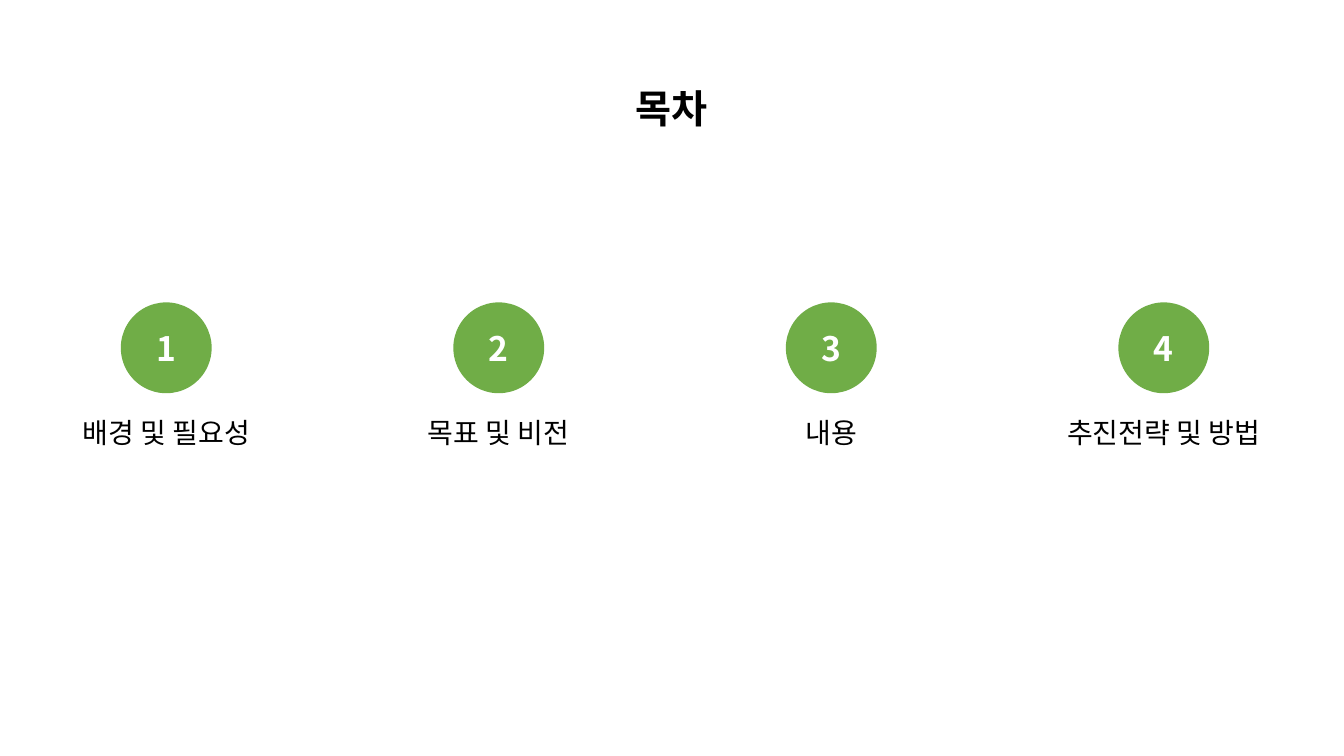
"""Build a contents slide with four numbered sections."""
import pptx
import pptx.dml.color
import pptx.enum.shapes
import pptx.enum.text
import pptx.oxml.ns
import pptx.util
from lxml import etree

Cm = pptx.util.Cm

TITLE = ("목차", 2.51)
ITEMS = [
    ("배경 및 필요성", 5.28),
    ("목표 및 비전", 4.57),
    ("내용", 1.93),
    ("추진전략 및 방법", 5.99),
]
THEME = {
    "font": "Noto Sans CJK KR",
    "ink": "000000",
    "white": "FFFFFF",
    "green": "70AD47",
    "title": 28,
    "number": 24,
    "label": 20,
}
WIDE, HIGH = 33.87, 19.05
FIRST, STEP = 4.19, 8.38
DISC, DISC_TOP = 2.29, 7.62
LABEL_TOP, LABEL_HIGH = 10.34, 1.12
TITLE_TOP, TITLE_HIGH = 2.01, 1.45


def color(name):
    return pptx.dml.color.RGBColor.from_string(THEME[name])


def write(shape, text, role, ink, bold):
    frame = shape.text_frame
    frame.text = text
    line = frame.paragraphs[0]
    line.alignment = pptx.enum.text.PP_ALIGN.CENTER
    run = line.runs[0]
    font = run.font
    font.size = pptx.util.Pt(THEME[role])
    font.bold = bold
    font.color.rgb = color(ink)
    font.name = THEME["font"]
    east = etree.SubElement(font._element, pptx.oxml.ns.qn("a:ea"))
    east.set("typeface", THEME["font"])


def add_text(shapes, text, mid, top, wide, high, role, bold=False):
    box = shapes.add_textbox(Cm(mid - wide / 2), Cm(top), Cm(wide), Cm(high))
    write(box, text, role, "ink", bold)
    box.text_frame.word_wrap = False
    box.text_frame.auto_size = pptx.enum.text.MSO_AUTO_SIZE.SHAPE_TO_FIT_TEXT


def add_disc(shapes, text, mid):
    disc = shapes.add_shape(
        pptx.enum.shapes.MSO_SHAPE.OVAL,
        Cm(mid - DISC / 2), Cm(DISC_TOP), Cm(DISC), Cm(DISC),
    )
    disc.shadow.inherit = False
    disc.fill.solid()
    disc.fill.fore_color.rgb = color("green")
    disc.line.fill.background()
    write(disc, text, "number", "white", True)
    disc.text_frame.vertical_anchor = pptx.enum.text.MSO_ANCHOR.MIDDLE


def main():
    deck = pptx.Presentation()
    deck.slide_width, deck.slide_height = Cm(WIDE), Cm(HIGH)
    slide = deck.slides.add_slide(deck.slide_layouts[6])
    text, wide = TITLE
    add_text(slide.shapes, text, WIDE / 2, TITLE_TOP, wide, TITLE_HIGH, "title", True)
    for index, (label, wide) in enumerate(ITEMS):
        mid = FIRST + index * STEP
        group = slide.shapes.add_group_shape()
        add_disc(group.shapes, str(index + 1), mid)
        add_text(group.shapes, label, mid, LABEL_TOP, wide, LABEL_HIGH, "label")
    deck.save("out.pptx")


if __name__ == "__main__":
    main()
